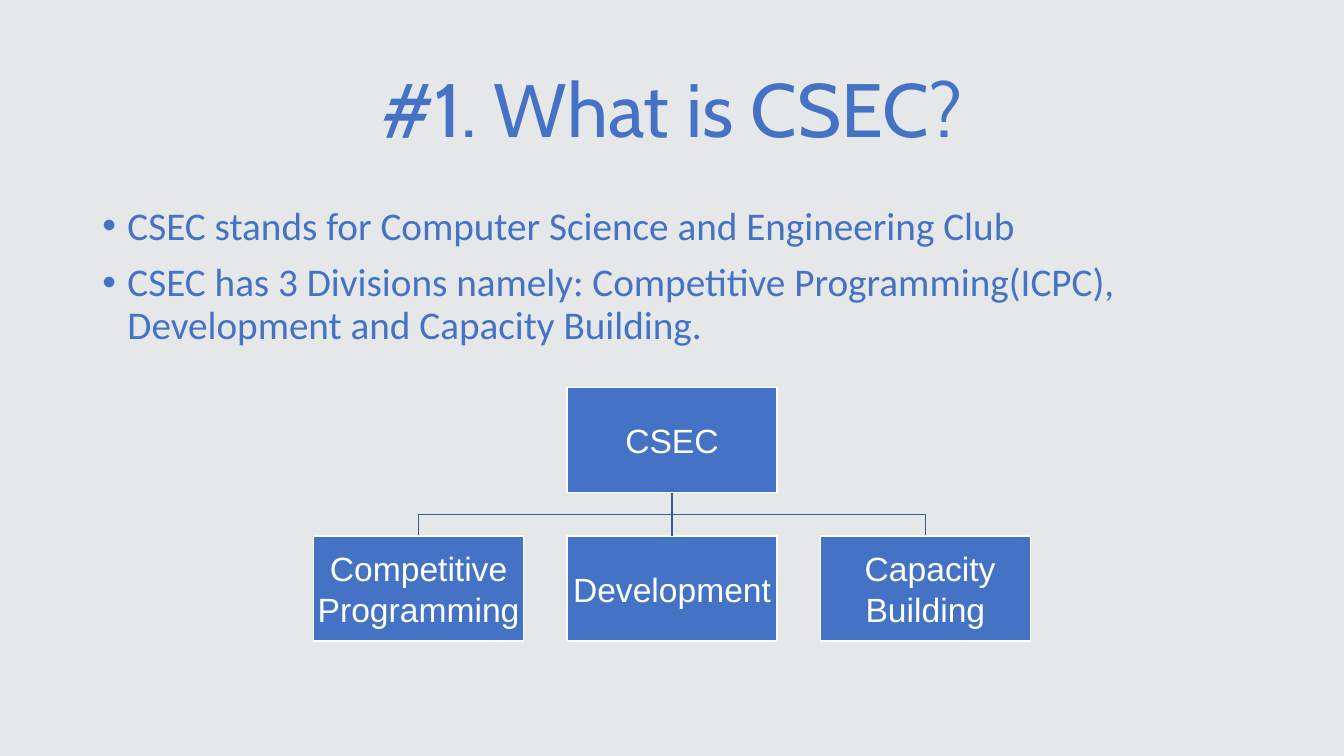
from dataclasses import dataclass

from lxml import etree
from pptx import Presentation
from pptx.dml.color import RGBColor
from pptx.enum.shapes import MSO_CONNECTOR, MSO_SHAPE
from pptx.enum.text import MSO_ANCHOR, PP_ALIGN
from pptx.oxml.ns import qn
from pptx.shapes.autoshape import Shape
from pptx.slide import Slide
from pptx.text.text import TextFrame, _Paragraph
from pptx.util import Pt

STRAIGHT = MSO_CONNECTOR.STRAIGHT
RECTANGLE = MSO_SHAPE.RECTANGLE
MIDDLE, TOP = MSO_ANCHOR.MIDDLE, MSO_ANCHOR.TOP
CENTER, LEFT = PP_ALIGN.CENTER, PP_ALIGN.LEFT
TOP_SIDE, BOTTOM_SIDE = 0, 2


@dataclass(frozen=True)
class TextStyle:
    font: str
    size: float
    color: RGBColor


@dataclass(frozen=True)
class Theme:
    background: RGBColor = RGBColor(0xE6, 0xE7, 0xE9)
    accent: RGBColor = RGBColor(0x44, 0x72, 0xC4)
    branch: RGBColor = RGBColor(0x36, 0x5B, 0x9D)
    white: RGBColor = RGBColor(0xFF, 0xFF, 0xFF)
    line_width: float = 1
    title: TextStyle = TextStyle("Cabin", 54, accent)
    body: TextStyle = TextStyle("Calibri", 28, accent)
    box: TextStyle = TextStyle("Arial", 24, white)


@dataclass(frozen=True)
class OrgBox:
    label: str
    center_x: float
    top: float


THEME = Theme()
SLIDE_WIDTH, SLIDE_HEIGHT = 960, 540
CENTER_X = SLIDE_WIDTH / 2
TEXT_LEFT, TEXT_WIDTH = 66, 828
BULLET_INDENT = 18

# Organisation chart grid
BOX_WIDTH, BOX_HEIGHT, BOX_INSET = 150, 75, 1.5
BOX_PITCH, LEVEL_GAP = 181, 31
CLUB_TOP = 277
CLUB_BOTTOM = CLUB_TOP + BOX_HEIGHT
DIVISION_TOP = CLUB_BOTTOM + LEVEL_GAP

FACTS = (
    "CSEC stands for Computer Science and Engineering Club",
    "CSEC has 3 Divisions namely: Competitive Programming(ICPC), "
    "Development and Capacity Building.",
)
CLUB = OrgBox("CSEC", CENTER_X, CLUB_TOP)
DIVISIONS = [
    OrgBox(label, CENTER_X + (column - 1) * BOX_PITCH, DIVISION_TOP)
    for column, label in enumerate(
        ("Competitive Programming", "Development", " Capacity Building"))
]


def style_paragraph(paragraph: _Paragraph, style: TextStyle, align: PP_ALIGN) -> None:
    paragraph.alignment = align
    paragraph.font.name = style.font
    paragraph.font.size = Pt(style.size)
    paragraph.font.color.rgb = style.color


def add_bullet(paragraph: _Paragraph) -> None:
    properties = paragraph._p.get_or_add_pPr()
    properties.set("marL", str(Pt(BULLET_INDENT)))
    properties.set("indent", str(-Pt(BULLET_INDENT)))
    color = etree.SubElement(properties, qn("a:buClr"))
    etree.SubElement(color, qn("a:srgbClr"), val=str(THEME.accent))
    etree.SubElement(properties, qn("a:buFont"), typeface="Arial")
    etree.SubElement(properties, qn("a:buChar"), char="•")


def add_text_frame(slide: Slide, top: float, height: float, anchor: MSO_ANCHOR) -> TextFrame:
    frame = slide.shapes.add_textbox(
        Pt(TEXT_LEFT), Pt(top), Pt(TEXT_WIDTH), Pt(height)).text_frame
    frame.word_wrap = True
    frame.vertical_anchor = anchor
    return frame


def add_title(slide: Slide, text: str) -> None:
    heading = add_text_frame(slide, 28.75, 104.5, MIDDLE).paragraphs[0]
    heading.text = text
    heading.line_spacing = 0.9
    style_paragraph(heading, THEME.title, CENTER)


def add_facts(slide: Slide, facts: tuple[str, ...]) -> None:
    frame = add_text_frame(slide, 144, 342.75, TOP)
    for index, text in enumerate(facts):
        fact = frame.add_paragraph() if index else frame.paragraphs[0]
        fact.text = text
        fact.line_spacing = 0.9
        if index:
            fact.space_before = Pt(10)
        add_bullet(fact)
        style_paragraph(fact, THEME.body, LEFT)


def add_org_box(slide: Slide, box: OrgBox) -> Shape:
    rectangle = slide.shapes.add_shape(
        RECTANGLE, Pt(box.center_x - BOX_WIDTH / 2), Pt(box.top),
        Pt(BOX_WIDTH), Pt(BOX_HEIGHT))
    rectangle.shadow.inherit = False
    rectangle.fill.solid()
    rectangle.fill.fore_color.rgb = THEME.accent
    rectangle.line.color.rgb = THEME.white
    rectangle.line.width = Pt(THEME.line_width)
    frame = rectangle.text_frame
    frame.word_wrap = True
    frame.vertical_anchor = MIDDLE
    frame.margin_left = frame.margin_right = Pt(BOX_INSET)
    frame.margin_top = frame.margin_bottom = Pt(BOX_INSET)
    label = frame.paragraphs[0]
    label.text = box.label
    label.space_after = Pt(8.4)
    style_paragraph(label, THEME.box, CENTER)
    return rectangle


def add_side_branch(slide: Slide, division: OrgBox) -> None:
    bend_y = CLUB_BOTTOM + LEVEL_GAP / 2
    builder = slide.shapes.build_freeform(Pt(CENTER_X), Pt(CLUB_BOTTOM))
    builder.add_line_segments(
        [(Pt(CENTER_X), Pt(bend_y)), (Pt(division.center_x), Pt(bend_y)),
         (Pt(division.center_x), Pt(division.top))], close=False)
    branch = builder.convert_to_shape()
    branch.shadow.inherit = False
    branch.fill.background()
    branch.line.color.rgb = THEME.branch
    branch.line.width = Pt(THEME.line_width)


def add_straight_branch(slide: Slide, club: Shape, division: Shape) -> None:
    branch = slide.shapes.add_connector(
        STRAIGHT, Pt(CENTER_X), Pt(CLUB_BOTTOM), Pt(CENTER_X), Pt(DIVISION_TOP))
    branch.begin_connect(club, BOTTOM_SIDE)
    branch.end_connect(division, TOP_SIDE)
    branch.line.color.rgb = THEME.branch
    branch.line.width = Pt(THEME.line_width)
    etree.SubElement(branch._element.spPr, qn("a:effectLst"))


def add_org_chart(slide: Slide) -> None:
    # Outer branches lie beneath the boxes
    for division in DIVISIONS:
        if division.center_x != CLUB.center_x:
            add_side_branch(slide, division)
    club_box = add_org_box(slide, CLUB)
    # Division boxes, the middle one joined straight to the club
    for division in DIVISIONS:
        division_box = add_org_box(slide, division)
        if division.center_x == CLUB.center_x:
            add_straight_branch(slide, club_box, division_box)


def main() -> None:
    deck = Presentation()
    deck.slide_width, deck.slide_height = Pt(SLIDE_WIDTH), Pt(SLIDE_HEIGHT)
    slide = deck.slides.add_slide(deck.slide_layouts[6])
    slide.background.fill.solid()
    slide.background.fill.fore_color.rgb = THEME.background
    add_title(slide, "#1. What is CSEC?")
    add_facts(slide, FACTS)
    add_org_chart(slide)
    deck.save("out.pptx")


if __name__ == "__main__":
    main()
